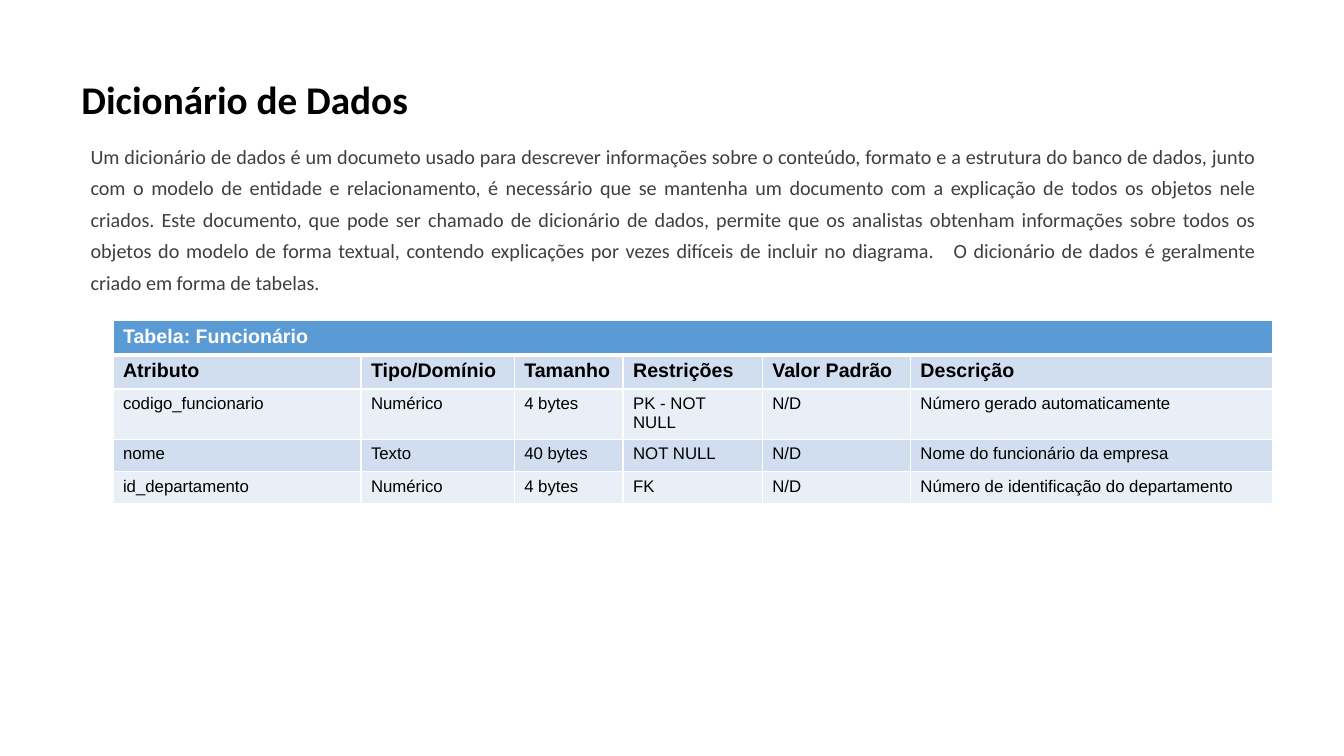
from lxml import etree
from pptx import Presentation
from pptx.dml.color import RGBColor
from pptx.enum.text import MSO_ANCHOR, PP_ALIGN
from pptx.oxml.ns import qn
from pptx.util import Pt

PX = 9144
MIDDLE, TOP = MSO_ANCHOR.MIDDLE, MSO_ANCHOR.TOP
LEFT, JUSTIFY = PP_ALIGN.LEFT, PP_ALIGN.JUSTIFY

WHITE, BLACK, GREY = "FFFFFF", "000000", "3F3F3F"
BLUE, BAND_DARK, BAND_LIGHT = "5B9BD5", "D0DEEF", "E9EFF7"

TITLE = "Dicionário de Dados"
BODY = (
    "Um dicionário de dados é um documeto usado para descrever informações sobre o "
    "conteúdo, formato e a estrutura do banco de dados, junto com o modelo de entidade e "
    "relacionamento, é necessário que se mantenha um documento com a explicação de todos "
    "os objetos nele criados. Este documento, que pode ser chamado de dicionário de dados, "
    "permite que os analistas obtenham informações sobre todos os objetos do modelo de "
    "forma textual, contendo explicações por vezes difíceis de incluir no diagrama.   "
    "O dicionário de dados é geralmente criado em forma de tabelas."
)
COL_WIDTHS = [246, 152, 108, 138, 147, 359]
ROW_HEIGHTS = [34, 34, 32, 32, 32]
ROWS = [
    ["Tabela: Funcionário", "", "", "", "", ""],
    ["Atributo", "Tipo/Domínio", "Tamanho", "Restrições", "Valor Padrão", "Descrição"],
    ["codigo_funcionario", "Numérico", "4 bytes", "PK - NOT NULL", "N/D",
     "Número gerado automaticamente"],
    ["nome", "Texto", "40 bytes", "NOT NULL", "N/D", "Nome do funcionário da empresa"],
    ["id_departamento", "Numérico", "4 bytes", "FK", "N/D",
     "Número de identificação do departamento"],
]


def px(n):
    """Turn px into EMU."""
    return round(n * PX)


def rgb(color):
    """Turn a hex string into a colour."""
    return RGBColor.from_string(color)


def add_run(p, text, size, font, color, bold=False):
    """Add one formatted run to a paragraph."""
    r = p.add_run()
    r.text = text
    r.font.size, r.font.name, r.font.bold = Pt(size), font, bold
    r.font.color.rgb = rgb(color)


def add_text(slide, box, text, size, color, bold, anchor, align, spacing):
    """Place a wrapped paragraph in a box."""
    tf = slide.shapes.add_textbox(*map(px, box)).text_frame
    tf.word_wrap = True
    tf.vertical_anchor = anchor
    p = tf.paragraphs[0]
    p.alignment, p.line_spacing = align, spacing
    add_run(p, text, size, "Calibri", color, bold)


def set_borders(cell, top, bottom):
    """Draw white cell borders with the given top and bottom widths."""
    tcPr = cell._tc.get_or_add_tcPr()
    for side, width in (("L", 1), ("R", 1), ("T", top), ("B", bottom)):
        ln = etree.SubElement(tcPr, qn(f"a:ln{side}"), w=str(Pt(width)))
        fill = etree.SubElement(ln, qn("a:solidFill"))
        etree.SubElement(fill, qn("a:srgbClr"), val=WHITE)


def add_dictionary(slide, box):
    """Place the data dictionary table in a box."""
    table = slide.shapes.add_table(len(ROWS), len(COL_WIDTHS), *map(px, box)).table
    for col, width in zip(table.columns, COL_WIDTHS):
        col.width = px(width)
    for i, (row, height) in enumerate(zip(ROWS, ROW_HEIGHTS)):
        table.rows[i].height = px(height)
        band = BLUE if i == 0 else BAND_DARK if i % 2 else BAND_LIGHT
        heading = i < 2
        for j, text in enumerate(row):
            cell = table.cell(i, j)
            set_borders(cell, 3 if i == 1 else 1, 3 if i == 0 else 1)
            cell.fill.solid()
            cell.fill.fore_color.rgb = rgb(band)
            if text:
                add_run(cell.text_frame.paragraphs[0], text, 14 if heading else 12,
                        "Arial", BLACK if i else WHITE, heading)
    table.cell(0, 0).merge(table.cell(0, len(COL_WIDTHS) - 1))


def main():
    """Build and save the slide."""
    prs = Presentation()
    prs.slide_width, prs.slide_height = px(1333), px(750)
    slide = prs.slides.add_slide(prs.slide_layouts[6])
    add_text(slide, (71, 28, 1150, 145), TITLE, 28, BLACK, True, MIDDLE, LEFT, 0.9)
    add_text(slide, (80, 131, 1176, 169), BODY, 14.4, GREY, False, TOP, JUSTIFY, 1.3)
    add_dictionary(slide, (112, 318, sum(COL_WIDTHS), sum(ROW_HEIGHTS)))
    prs.save("out.pptx")


if __name__ == "__main__":
    main()
